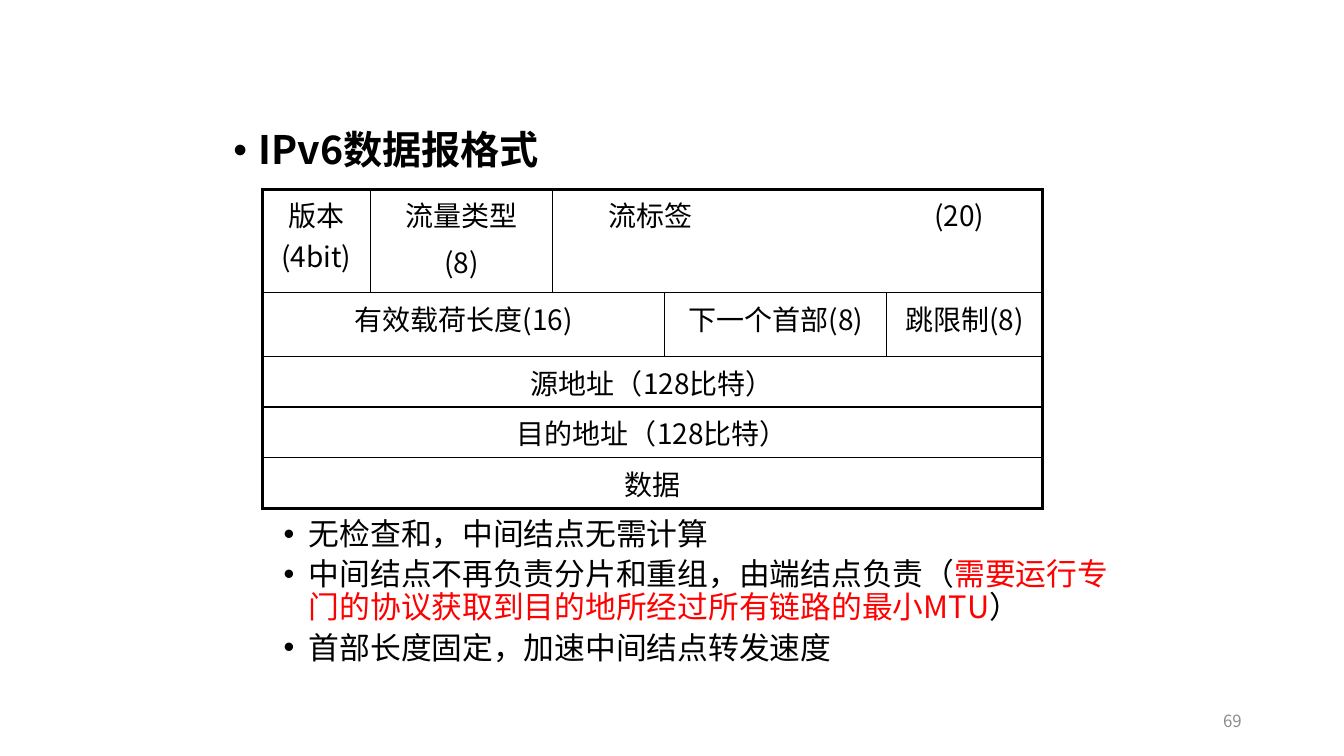
import pptx
import pptx.util
import pptx.dml.color
import pptx.enum.text
import pptx.oxml.ns
from lxml import etree

Pt = pptx.util.Pt
ALIGN = pptx.enum.text.PP_ALIGN
ANCHOR = pptx.enum.text.MSO_ANCHOR
COLORS = {"text": "000000", "warning": "FF0000", "number": "8C8C8C"}
COLUMN_WIDTHS = [77, 130.4, 80, 158.4, 111.2]
ROW_HEIGHTS = [73.8, 45.6, 36.2, 36.2, 36.2]
HEADER_FIELDS = [
    (0, 0, 1, "版本(4bit)"),
    (0, 1, 1, "流量类型\n(8)"),
    (0, 2, 3, "流标签\t(20)"),
    (1, 0, 3, "有效载荷长度(16)"),
    (1, 3, 1, "下一个首部(8)"),
    (1, 4, 1, "跳限制(8)"),
    (2, 0, 5, "源地址（128比特）"),
    (3, 0, 5, "目的地址（128比特）"),
    (4, 0, 5, "数据"),
]
NOTES = [
    [("无检查和，中间结点无需计算", "text")],
    [("中间结点不再负责分片和重组，由端结点负责（", "text"),
     ("需要运行专门的协议获取到目的地所经过所有链路的最小MTU", "warning"),
     ("）", "text")],
    [("首部长度固定，加速中间结点转发速度", "text")],
]


def add_element(parent, tag, **attributes):
    return etree.SubElement(parent, pptx.oxml.ns.qn(tag), attributes)


class SlideBuilder:
    """Holds the style and the current slide, and adds each kind of element."""

    font_name = "Noto Sans CJK SC"
    line_spacing = 0.9

    def __init__(self, presentation):
        self.slide = presentation.slides.add_slide(presentation.slide_layouts[5])

    def format_run(self, run, size, color="text", bold=False):
        run.font.name = self.font_name
        run.font.size = Pt(size)
        run.font.bold = bold
        run.font.color.rgb = pptx.dml.color.RGBColor.from_string(COLORS[color])
        add_element(run.font._element, "a:ea", typeface=self.font_name)

    def add_bullet(self, paragraph, margin):
        properties = paragraph._p.get_or_add_pPr()
        properties.set("marL", str(Pt(margin)))
        properties.set("indent", str(-Pt(18)))
        add_element(properties, "a:buFont", typeface="Arial")
        add_element(properties, "a:buChar", char="•")
        paragraph.line_spacing = self.line_spacing

    def set_title(self, text, left, top, width, height):
        title = self.slide.shapes.title
        title.left, title.top, title.width, title.height = map(Pt, (left, top, width, height))
        frame = title.text_frame
        frame.text = text
        frame.vertical_anchor = ANCHOR.TOP
        paragraph = frame.paragraphs[0]
        self.add_bullet(paragraph, 18)
        paragraph.alignment = ALIGN.LEFT
        self.format_run(paragraph.runs[0], 28, bold=True)

    def add_text_box(self, left, top, width, height):
        box = self.slide.shapes.add_textbox(*map(Pt, (left, top, width, height)))
        box.text_frame.word_wrap = True
        return box.text_frame

    def add_notes(self, notes, left, top, width, height):
        frame = self.add_text_box(left, top, width, height)
        for index, parts in enumerate(notes):
            paragraph = frame.add_paragraph() if index else frame.paragraphs[0]
            self.add_bullet(paragraph, 54)
            paragraph.space_before = Pt(5 if index else 0)
            for text, color in parts:
                run = paragraph.add_run()
                run.text = text
                self.format_run(run, 22, color)

    def add_number(self, text, left, top, width, height):
        frame = self.add_text_box(left, top, width, height)
        frame.text = text
        frame.vertical_anchor = ANCHOR.MIDDLE
        frame.paragraphs[0].alignment = ALIGN.RIGHT
        self.format_run(frame.paragraphs[0].runs[0], 12, "number")

    def set_borders(self, cell, outer_sides):
        properties = cell._tc.get_or_add_tcPr()
        for side in "LRTB":
            width = 2.25 if side in outer_sides else 1
            line = add_element(properties, f"a:ln{side}", w=str(Pt(width)))
            add_element(add_element(line, "a:solidFill"), "a:srgbClr", val=COLORS["text"])

    def fill_cell(self, cell, text):
        cell.text_frame.text = text
        for index, paragraph in enumerate(cell.text_frame.paragraphs):
            if "\t" in text:
                cell.margin_left = Pt(40)
                tabs = add_element(paragraph._p.get_or_add_pPr(), "a:tabLst")
                add_element(tabs, "a:tab", pos=str(Pt(232.5)), algn="l")
            paragraph.alignment = ALIGN.LEFT if "\t" in text else ALIGN.CENTER
            paragraph.space_before = Pt(4 if index else 0)
            for run in paragraph.runs:
                self.format_run(run, 20)

    def add_table(self, fields, left, top):
        frame = self.slide.shapes.add_table(
            len(ROW_HEIGHTS), len(COLUMN_WIDTHS), Pt(left), Pt(top),
            Pt(sum(COLUMN_WIDTHS)), Pt(sum(ROW_HEIGHTS)))
        table = frame.table
        table.first_row = table.horz_banding = False
        for column, width in zip(table.columns, COLUMN_WIDTHS):
            column.width = Pt(width)
        for row, height in zip(table.rows, ROW_HEIGHTS):
            row.height = Pt(height)
        last_row, last_column = len(ROW_HEIGHTS) - 1, len(COLUMN_WIDTHS) - 1
        for row, column, span, text in fields:
            end = column + span - 1
            outer_sides = [side for side, is_outer in (
                ("L", column == 0), ("R", end == last_column),
                ("T", row == 0), ("B", row == last_row)) if is_outer]
            for index in range(column, end + 1):
                self.set_borders(table.cell(row, index), outer_sides)
                table.cell(row, index).fill.background()
            if span > 1:
                table.cell(row, column).merge(table.cell(row, end))
            self.fill_cell(table.cell(row, column), text)


def main():
    presentation = pptx.Presentation()
    presentation.slide_width = Pt(960)
    presentation.slide_height = Pt(540)
    builder = SlideBuilder(presentation)
    builder.set_title("IPv6数据报格式", 159.5, 90, 648, 45)
    builder.add_notes(NOTES, 159.5, 367, 648, 130)
    builder.add_table(HEADER_FIELDS, 187.5, 135.2)
    builder.add_number("69", 678, 500.5, 216, 28.8)
    presentation.save("out.pptx")


if __name__ == "__main__":
    main()
